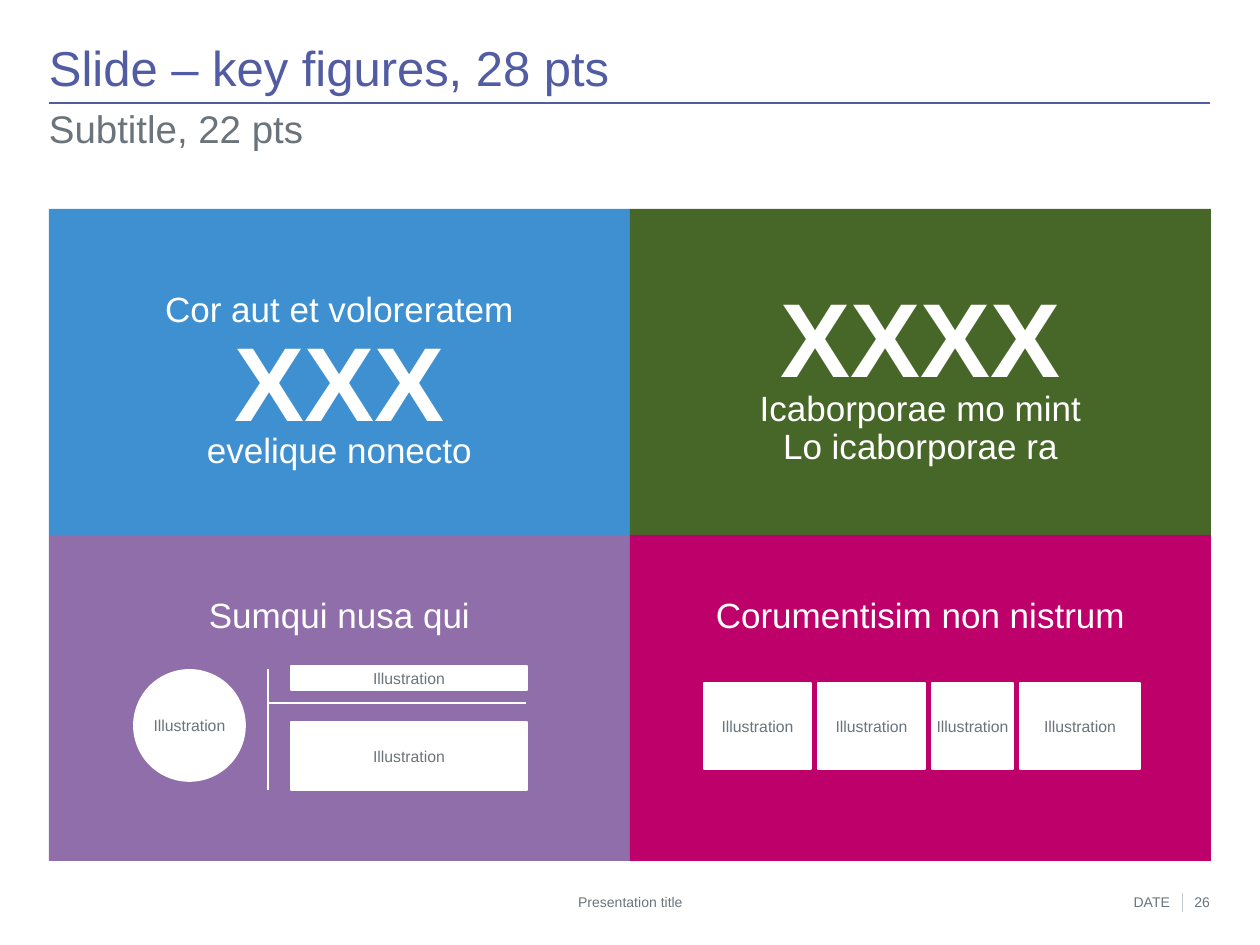
from lxml.etree import SubElement
from pptx import Presentation
from pptx.dml.color import RGBColor
from pptx.enum.shapes import MSO_CONNECTOR, MSO_SHAPE
from pptx.enum.text import MSO_ANCHOR, PP_ALIGN
from pptx.oxml.ns import qn
from pptx.util import Pt

PX = 914400 / 126  # EMU per pixel

WHITE = RGBColor(0xFF, 0xFF, 0xFF)
INDIGO = RGBColor(0x52, 0x5C, 0xA3)
GREY = RGBColor(0x6B, 0x74, 0x7B)
LIGHT_GREY = RGBColor(0xC3, 0xC7, 0xCB)
BLUE = RGBColor(0x3E, 0x90, 0xD0)
PURPLE = RGBColor(0x8F, 0x6E, 0xAA)
GREEN = RGBColor(0x47, 0x67, 0x28)
MAGENTA = RGBColor(0xBE, 0x00, 0x6B)

prs = Presentation()
prs.slide_width, prs.slide_height = round(1260 * PX), round(945 * PX)
slide = prs.slides.add_slide(prs.slide_layouts[6])
shapes = slide.shapes


def add_text(place, lines, size, color, align=PP_ALIGN.LEFT,
             anchor=MSO_ANCHOR.TOP, bold=False, spacing=0.9, holder=None):
    """Write lines into holder, or into a new text box at place."""
    if holder is None:
        holder = shapes.add_textbox(*(round(n * PX) for n in place))
    frame = holder.text_frame
    frame.word_wrap = True
    frame.vertical_anchor = anchor
    frame.margin_left = frame.margin_right = 0
    frame.margin_top = frame.margin_bottom = 0
    for i, line in enumerate(lines):
        paragraph = frame.add_paragraph() if i else frame.paragraphs[0]
        paragraph.alignment = align
        paragraph.line_spacing = spacing
        run = paragraph.add_run()
        run.text = line
        run.font.name = "Arial"
        run.font.size = Pt(size)
        run.font.bold = bold
        run.font.color.rgb = color


def add_block(kind, place, fill):
    block = shapes.add_shape(kind, *(round(n * PX) for n in place))
    block.shadow.inherit = False
    block.fill.solid()
    block.fill.fore_color.rgb = fill
    block.line.fill.background()
    return block


# Four coloured panels in a 2 x 2 grid
LEFT, TOP, PANEL_W, PANEL_H = 49, 209, 581, 326
MIDDLE = LEFT + PANEL_W
for i, color in enumerate([BLUE, GREEN, PURPLE, MAGENTA]):
    row, col = divmod(i, 2)
    add_block(MSO_SHAPE.RECTANGLE,
              (LEFT + col * PANEL_W, TOP + row * PANEL_H, PANEL_W, PANEL_H),
              color)

# Title and subtitle
add_text((LEFT, 44, 1161, 53), ["Slide – key figures, 28 pts"], 28, INDIGO,
         anchor=MSO_ANCHOR.MIDDLE)
add_text((LEFT, 110, 1161, 64), ["Subtitle, 22 pts"], 22, GREY)

# Panel wording: left, top, height, lines, size
panel_texts = [
    (LEFT, 292, 63, ["Cor aut et voloreratem"], 20),
    (LEFT, 331, 200, ["XXX"], 60),
    (LEFT, 433, 63, ["evelique nonecto"], 20),
    (MIDDLE, 287, 137, ["XXXX"], 60),
    (MIDDLE, 391, 89, ["Icaborporae mo mint", "Lo icaborporae ra"], 20),
    (LEFT, 598, 47, ["Sumqui nusa qui"], 20),
    (MIDDLE, 598, 145, ["Corumentisim non nistrum"], 20),
]
for left, top, height, lines, size in panel_texts:
    add_text((left, top, PANEL_W, height), lines, size, WHITE,
             PP_ALIGN.CENTER, bold=size == 60)

# Footer
footer = [
    (173, 915, "Presentation title", PP_ALIGN.CENTER),
    (1063, 107, "DATE", PP_ALIGN.RIGHT),
    (1167, 43, "26", PP_ALIGN.RIGHT),
]
for left, width, words, align in footer:
    add_text((left, 893, width, 16), [words], 8, GREY, align, spacing=1.0)

# Rules: title underline, footer divider, illustration dividers
rules = [
    (49, 103, 1210, 103, INDIGO, 1.5),
    (1182, 893, 1182, 912, LIGHT_GREY, 0.5),
    (268, 669, 268, 790, WHITE, 0.75),
    (268, 703, 526, 703, WHITE, 0.75),
]
for *ends, color, weight in rules:
    rule = shapes.add_connector(MSO_CONNECTOR.STRAIGHT,
                                *(round(n * PX) for n in ends))
    rule.line.color.rgb = color
    rule.line.width = Pt(weight)
    SubElement(rule._element.spPr, qn("a:effectLst"))

# Illustration blocks
illustrations = [
    (MSO_SHAPE.OVAL, (134, 670, 111, 111)),
    (MSO_SHAPE.RECTANGLE, (291, 666, 236, 24)),
    (MSO_SHAPE.RECTANGLE, (291, 722, 236, 68)),
]
left = 704
for width in (107, 107, 81, 120):
    illustrations.append((MSO_SHAPE.RECTANGLE, (left, 683, width, 86)))
    left += width + 7
for kind, place in illustrations:
    block = add_block(kind, place, WHITE)
    block.line.color.rgb = WHITE
    block.line.width = Pt(1)
    add_text(place, ["Illustration"], 9, GREY, PP_ALIGN.CENTER,
             MSO_ANCHOR.MIDDLE, spacing=1.0, holder=block)

prs.save("out.pptx")
